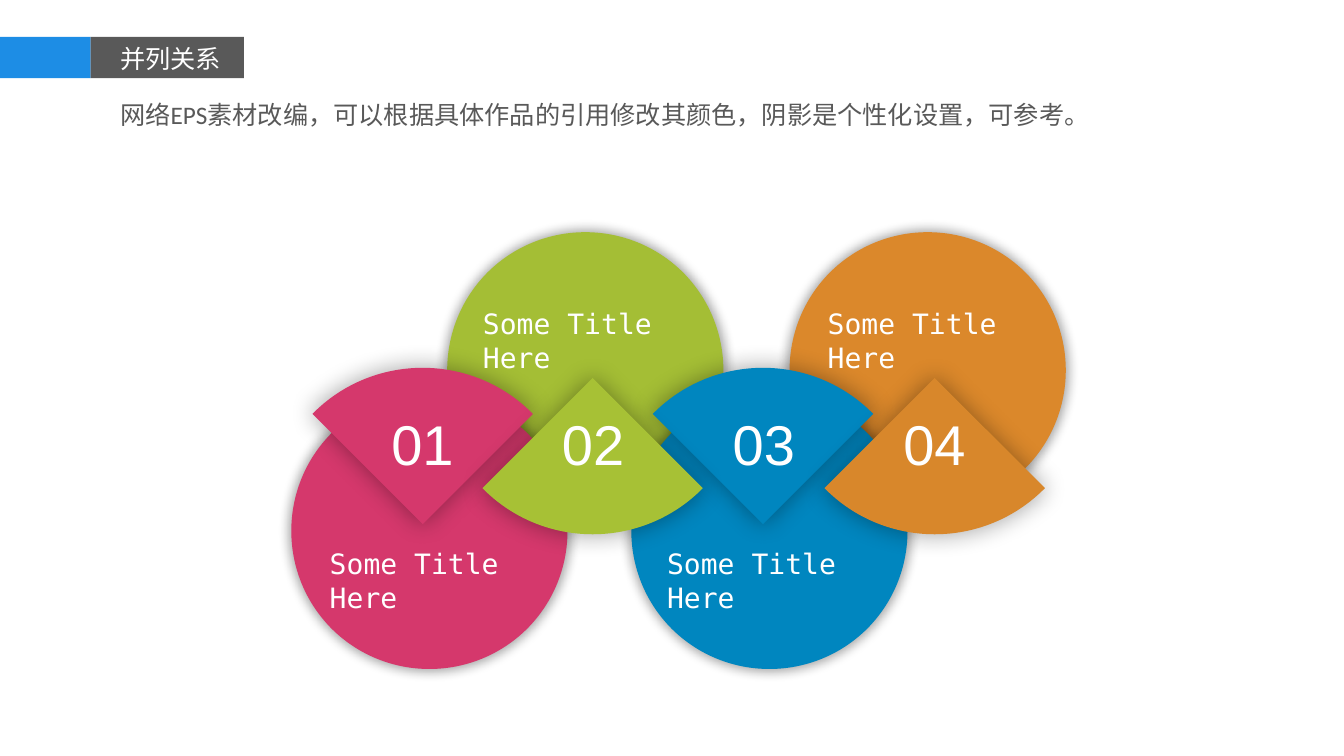
from dataclasses import dataclass

from lxml import etree
from pptx import Presentation
from pptx.dml.color import RGBColor
from pptx.enum.shapes import MSO_SHAPE
from pptx.enum.text import MSO_AUTO_SIZE
from pptx.oxml.ns import qn
from pptx.shapes.autoshape import Shape
from pptx.slide import Slide
from pptx.util import Emu, Inches, Pt

RECTANGLE = MSO_SHAPE.RECTANGLE
FIT_SHAPE = MSO_AUTO_SIZE.SHAPE_TO_FIT_TEXT

SLIDE_WIDTH = Inches(40 / 3)
SLIDE_HEIGHT = Inches(7.5)
GRID_COLUMNS = 40
CELL = SLIDE_WIDTH / GRID_COLUMNS

FIRST_NUMBER_COLUMN = 11.35
NUMBER_PITCH = 5.08

Point = tuple[float, float]


@dataclass(frozen=True)
class Theme:
    white: str = "FFFFFF"
    accent: str = "1D8DE5"
    grey: str = "595959"
    shadow: str = "000000"
    text_font: str = "Calibri"
    number_font: str = "Arial"
    title_font: str = "DejaVu Sans Mono"
    text_size: int = 18
    number_size: int = 40
    title_size: int = 20


@dataclass(frozen=True)
class Box:
    column: float
    row: float
    columns: float
    rows: float


@dataclass(frozen=True)
class TextStyle:
    font: str
    size: int
    color: str
    wrap: bool = False


@dataclass(frozen=True)
class Shadow:
    blur: int
    opacity: int
    scale: int = 102


@dataclass(frozen=True)
class Row:
    circle_row: float
    apex_row: float
    arc_direction: int
    title_row: float


@dataclass(frozen=True)
class Petal:
    index: int
    row: Row
    apex_column: float
    circle_column: float
    title_column: float
    circle_color: str
    wedge_color: str


THEME = Theme()
BODY_STYLE = TextStyle(THEME.text_font, THEME.text_size, THEME.grey)
HEADING_STYLE = TextStyle(THEME.text_font, THEME.text_size, THEME.white)
NUMBER_STYLE = TextStyle(THEME.number_font, THEME.number_size, THEME.white)
TITLE_STYLE = TextStyle(THEME.title_font, THEME.title_size, THEME.white, True)
CIRCLE_SHADOW = Shadow(8, 34)
WEDGE_SHADOW = Shadow(17, 32)

CIRCLE_CURVES: tuple[Point, ...] = (
    (-2.91, 2.91),
    (-1.3, 4.51), (1.3, 4.51), (2.91, 2.91),
    (4.51, 1.3), (4.51, -1.3), (2.91, -2.91),
    (1.3, -4.51), (-1.3, -4.51), (-2.91, -2.91),
    (-4.51, -1.3), (-4.51, 1.3), (-2.91, 2.91),
)
WEDGE_CURVES: tuple[Point, ...] = (
    (-3.28, 3.28),
    *((0, 0),) * 3,
    *((3.28, 3.28),) * 3,
    (1.48, 5.11), (-1.48, 5.11), (-3.28, 3.28),
)

LOWER = Row(15.8, 15.6, -1, 16.12)
UPPER = Row(11.02, 11.25, 1, 8.98)
PETALS = (
    Petal(0, LOWER, 12.58, 12.78, 9.52, "D5386C", "D5386C"),
    Petal(1, UPPER, 17.64, 17.42, 14.08, "A4BE35", "A7C135"),
    Petal(2, LOWER, 22.71, 22.9, 19.56, "0086BF", "0086BF"),
    Petal(3, UPPER, 27.82, 27.61, 24.34, "DB882B", "D8872B"),
)


def cells(count: float) -> Emu:
    return Emu(round(count * CELL))


def paint(shape: Shape, color: str) -> None:
    shape.shadow.inherit = False
    shape.fill.solid()
    shape.fill.fore_color.rgb = RGBColor.from_string(color)
    shape.line.fill.background()


def cast_shadow(shape: Shape, shadow: Shadow) -> None:
    effects = shape._element.spPr.find(qn("a:effectLst"))
    scale = str(shadow.scale * 1000)
    outer = etree.SubElement(effects, qn("a:outerShdw"), blurRad=str(Pt(shadow.blur)),
                             dist="0", dir="0", sx=scale, sy=scale,
                             algn="ctr", rotWithShape="0")
    color = etree.SubElement(outer, qn("a:srgbClr"), val=THEME.shadow)
    etree.SubElement(color, qn("a:alpha"), val=str(shadow.opacity * 1000))


def add_bar(slide: Slide, box: Box, color: str) -> None:
    shape = slide.shapes.add_shape(RECTANGLE, cells(box.column), cells(box.row),
                                   cells(box.columns), cells(box.rows))
    paint(shape, color)


def add_text(slide: Slide, box: Box, text: str, style: TextStyle) -> None:
    shape = slide.shapes.add_textbox(cells(box.column), cells(box.row),
                                     cells(box.columns), cells(box.rows))
    frame = shape.text_frame
    frame.text = text
    frame.auto_size = FIT_SHAPE
    frame.word_wrap = style.wrap
    font = frame.paragraphs[0].runs[0].font
    font.name = style.font
    font.size = Pt(style.size)
    font.color.rgb = RGBColor.from_string(style.color)


def bend_segments(shape: Shape) -> None:
    segments = list(shape._element.iter(qn("a:lnTo")))
    for first in range(0, len(segments), 3):
        curve = etree.Element(qn("a:cubicBezTo"))
        segments[first].addprevious(curve)
        for segment in segments[first:first + 3]:
            curve.append(segment[0])
            segment.getparent().remove(segment)


def add_curved_shape(slide: Slide, origin: Point, curves: tuple[Point, ...],
                     direction: int, color: str, shadow: Shadow) -> None:
    column, row = origin
    points = [(cells(column + x), cells(row + direction * y)) for x, y in curves]
    builder = slide.shapes.build_freeform(*points[0])
    builder.add_line_segments(points[1:], close=True)
    shape = builder.convert_to_shape()
    bend_segments(shape)
    paint(shape, color)
    cast_shadow(shape, shadow)


def add_circle(slide: Slide, petal: Petal) -> None:
    add_curved_shape(slide, (petal.circle_column, petal.row.circle_row), CIRCLE_CURVES,
                     petal.row.arc_direction, petal.circle_color, CIRCLE_SHADOW)


def add_wedge(slide: Slide, petal: Petal) -> None:
    add_curved_shape(slide, (petal.apex_column, petal.row.apex_row), WEDGE_CURVES,
                     petal.row.arc_direction, petal.wedge_color, WEDGE_SHADOW)


def add_labels(slide: Slide, petal: Petal) -> None:
    number_column = FIRST_NUMBER_COLUMN + NUMBER_PITCH * petal.index
    add_text(slide, Box(number_column, 12.03, 2.49, 2.31),
             f"{petal.index + 1:02d}", NUMBER_STYLE)
    add_text(slide, Box(petal.title_column, petal.row.title_row, 6.69, 1.32),
             "Some Title Here", TITLE_STYLE)


def add_header(slide: Slide) -> None:
    add_bar(slide, Box(0, 1.1, 2.7, 1.23), THEME.accent)
    add_bar(slide, Box(2.7, 1.1, 4.56, 1.23), THEME.grey)
    add_text(slide, Box(3.28, 1.14, 3.63, 1.2), "并列关系", HEADING_STYLE)
    add_text(slide, Box(3.28, 2.82, 29.73, 1.2),
             "网络EPS素材改编，可以根据具体作品的引用修改其颜色，阴影是个性化设置，可参考。",
             BODY_STYLE)


def main() -> None:
    presentation = Presentation()
    presentation.slide_width = SLIDE_WIDTH
    presentation.slide_height = SLIDE_HEIGHT
    slide = presentation.slides.add_slide(presentation.slide_layouts[6])
    add_header(slide)
    upper_petals = [petal for petal in PETALS if petal.row is UPPER]
    lower_petals = [petal for petal in PETALS if petal.row is LOWER]
    for petal in upper_petals:
        add_circle(slide, petal)
    for petal in lower_petals:
        add_circle(slide, petal)
        add_wedge(slide, petal)
    for petal in upper_petals:
        add_wedge(slide, petal)
    for petal in PETALS:
        add_labels(slide, petal)
    presentation.save("out.pptx")


if __name__ == "__main__":
    main()
